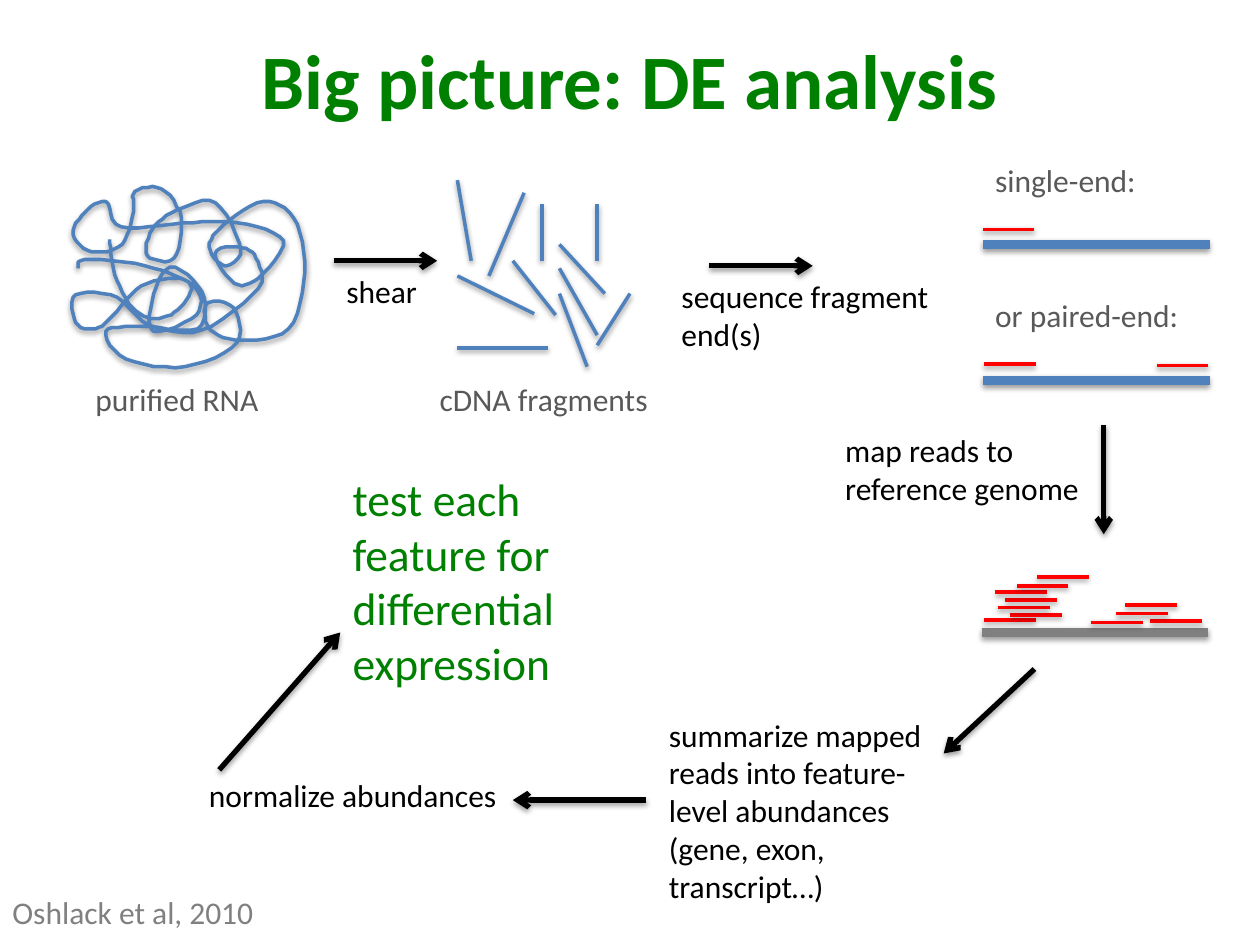
from lxml import etree
from pptx import Presentation
from pptx.dml.color import RGBColor
from pptx.enum import shapes, text
from pptx.oxml import ns
from pptx.util import Inches, Pt

GREEN = RGBColor(0x00, 0x80, 0x00)
BLUE = RGBColor(0x4F, 0x81, 0xBD)
RED = RGBColor(0xFF, 0x00, 0x00)
BLACK = RGBColor(0x00, 0x00, 0x00)
DARK_GRAY = RGBColor(0x59, 0x59, 0x59)
GRAY = RGBColor(0x80, 0x80, 0x80)
FONT = "Calibri"

# Content: labels as (text, left, top, width, lines), by size and colour
TITLE = "Big picture: DE analysis"
LABELS = {
    (18, DARK_GRAY): [
        ("purified RNA", 0.66, 2.97, 1.57, 1),
        ("cDNA fragments", 3.39, 2.97, 2, 1),
        ("single-end:", 7.8, 1.23, 1.8, 1),
        ("or paired-end:", 7.8, 2.3, 1.8, 1),
    ],
    (18, BLACK): [
        ("shear", 2.65, 2.11, 0.82, 1),
        ("sequence fragment end(s)", 5.31, 2.15, 2.49, 2),
        ("map reads to reference genome", 6.61, 3.37, 2.49, 2),
        ("summarize mapped reads into feature-level abundances "
         "(gene, exon, transcript…)", 5.21, 5.63, 2.49, 5),
        ("normalize abundances", 1.56, 6.11, 2.49, 1),
    ],
    (26, GREEN): [
        ("test each feature for differential expression", 2.7, 3.69, 2.49, 4),
    ],
    (18, GRAY): [("Oshlack et al, 2010", 0, 7.04, 2.49, 1)],
}

# Lines as (x1, y1, x2, y2)
ARROWS = [
    (2.65, 2.07, 3.47, 2.07), (5.63, 2.11, 6.45, 2.11),
    (8.76, 3.37, 8.76, 4.24), (8.21, 5.31, 7.49, 5.98),
    (5.13, 6.35, 4.07, 6.35), (1.74, 6.11, 2.7, 5.02),
]
FRAGMENTS = [
    (3.63, 1.43, 3.74, 2.07), (4.16, 1.53, 3.88, 2.19),
    (4.3, 1.62, 4.3, 2.07), (3.63, 2.19, 4.24, 2.49),
    (4.74, 1.62, 4.74, 2.07), (4.44, 2.13, 4.74, 2.66),
    (4.44, 1.94, 4.8, 2.33), (4.07, 2.07, 4.41, 2.5),
    (4.35, 2.76, 3.63, 2.76), (5, 2.33, 4.74, 2.74),
    (4.44, 2.33, 4.66, 2.91),
]

# Reads and the strands below them as (left, y)
READ_WIDTH, STRAND_WIDTH = 0.41, 1.8
SEQUENCED_STRANDS = [(7.8, 1.94), (7.8, 3.02)]
SEQUENCED_READS = [(7.8, 1.82), (7.81, 2.89), (9.18, 2.9)]
GENOME = (7.79, 5.02)
MAPPED_READS = [
    (7.81, 4.92), (8.02, 4.88), (7.92, 4.82), (7.98, 4.76),
    (7.9, 4.7), (8.07, 4.65), (8.23, 4.58), (8.66, 4.94),
    (9.13, 4.93), (8.86, 4.87), (8.93, 4.8),
]

# Turning points of the tangled RNA strand, in hundredths of an inch
RNA_TURNS = [
    (87, 190), (91, 218), (105, 244), (123, 253), (141, 246), (152, 230),
    (143, 221), (112, 227), (90, 250), (76, 261), (60, 256), (60, 234),
    (93, 236), (118, 258), (160, 262), (205, 229), (203, 205), (190, 196),
    (171, 201), (186, 225), (205, 221), (225, 191), (189, 177), (145, 177),
    (96, 180), (84, 160), (67, 169), (58, 186), (73, 200), (97, 194),
    (106, 168), (107, 152), (128, 150), (144, 173), (138, 205), (117, 203),
    (121, 182), (140, 167), (171, 161), (191, 198), (178, 211), (166, 196),
    (178, 178), (209, 160), (233, 173), (242, 216), (229, 261), (192, 270),
    (167, 262), (164, 241), (185, 244), (188, 272), (147, 291), (100, 285),
    (84, 263), (112, 259), (157, 261), (160, 231), (135, 212), (121, 238),
    (122, 263), (156, 250), (154, 227), (115, 211), (67, 206), (62, 213),
]
CURVE_STEPS = 6


def smooth(points):
    """Return points along a Catmull-Rom curve through the given points."""
    padded = [points[0], *points, points[-1]]
    curve = [points[0]]
    for a, b, c, d in zip(padded, padded[1:], padded[2:], padded[3:]):
        for step in range(1, CURVE_STEPS + 1):
            t = step / CURVE_STEPS
            curve.append(tuple(
                q + t / 2 * (r - p + t * (2 * p - 5 * q + 4 * r - s
                                          + t * (3 * (q - r) + s - p)))
                for p, q, r, s in zip(a, b, c, d)))
    return curve


def style_line(shape, color, width):
    """Set the line's colour and width, and give it a soft drop shadow."""
    shape.line.color.rgb = color
    shape.line.width = Pt(width)
    effects = etree.SubElement(shape._element.spPr, ns.qn("a:effectLst"))
    shadow = etree.SubElement(
        effects, ns.qn("a:outerShdw"), blurRad=str(Pt(3.1)),
        dist=str(Pt(1.6)), dir="5400000", rotWithShape="0")
    shade = etree.SubElement(shadow, ns.qn("a:srgbClr"), val="000000")
    etree.SubElement(shade, ns.qn("a:alpha"), val="38000")


def add_line(parent, ends, color, width, arrow=False):
    line = parent.add_connector(shapes.MSO_CONNECTOR.STRAIGHT,
                                *(Inches(value) for value in ends))
    style_line(line, color, width)
    if arrow:
        etree.SubElement(line.line._get_or_add_ln(), ns.qn("a:tailEnd"),
                         type="arrow")


def add_strand(parent, start, color):
    left, y = start
    add_line(parent, (left, y, left + STRAND_WIDTH, y), color, 5.5)


def add_reads(parent, reads):
    for left, y in reads:
        add_line(parent, (left + READ_WIDTH, y, left, y), RED, 2)


def set_font(paragraph, size, color, bold=False):
    font = paragraph.font
    font.name, font.size, font.bold = FONT, Pt(size), bold
    font.color.rgb = color


def add_label(parent, size, color, words, left, top, width, lines):
    height = 0.1 + lines * size / 60
    box = parent.add_textbox(Inches(left), Inches(top),
                             Inches(width), Inches(height))
    frame = box.text_frame
    frame.word_wrap = True
    frame.auto_size = text.MSO_AUTO_SIZE.SHAPE_TO_FIT_TEXT
    frame.text = words
    set_font(frame.paragraphs[0], size, color)


def main():
    presentation = Presentation()
    presentation.slide_width, presentation.slide_height = Inches(10), Inches(7.5)
    slide = presentation.slides.add_slide(presentation.slide_layouts[5])

    # Title
    title = slide.shapes.title
    title.left, title.top = Inches(0.5), Inches(0)
    title.width, title.height = Inches(9), Inches(1.25)
    title.text_frame.text = TITLE
    title.text_frame.vertical_anchor = text.MSO_ANCHOR.MIDDLE
    title.text_frame.paragraphs[0].alignment = text.PP_ALIGN.CENTER
    set_font(title.text_frame.paragraphs[0], 44, GREEN, bold=True)

    # Purified RNA
    curve = smooth(RNA_TURNS)
    builder = slide.shapes.build_freeform(*curve[0], scale=Inches(0.01))
    builder.add_line_segments(curve[1:], close=False)
    strand = builder.convert_to_shape()
    strand.fill.background()
    style_line(strand, BLUE, 2)

    # cDNA fragments
    fragments = slide.shapes.add_group_shape().shapes
    for ends in FRAGMENTS:
        add_line(fragments, ends, BLUE, 2)

    # Sequenced ends
    for start in SEQUENCED_STRANDS:
        add_strand(slide.shapes, start, BLUE)
    add_reads(slide.shapes, SEQUENCED_READS)

    # Reads mapped to the genome
    mapped = slide.shapes.add_group_shape().shapes
    add_strand(mapped, GENOME, GRAY)
    add_reads(mapped, MAPPED_READS)

    # Step arrows and labels
    for ends in ARROWS:
        add_line(slide.shapes, ends, BLACK, 3, arrow=True)
    for (size, color), labels in LABELS.items():
        for label in labels:
            add_label(slide.shapes, size, color, *label)

    presentation.save("out.pptx")


if __name__ == "__main__":
    main()
